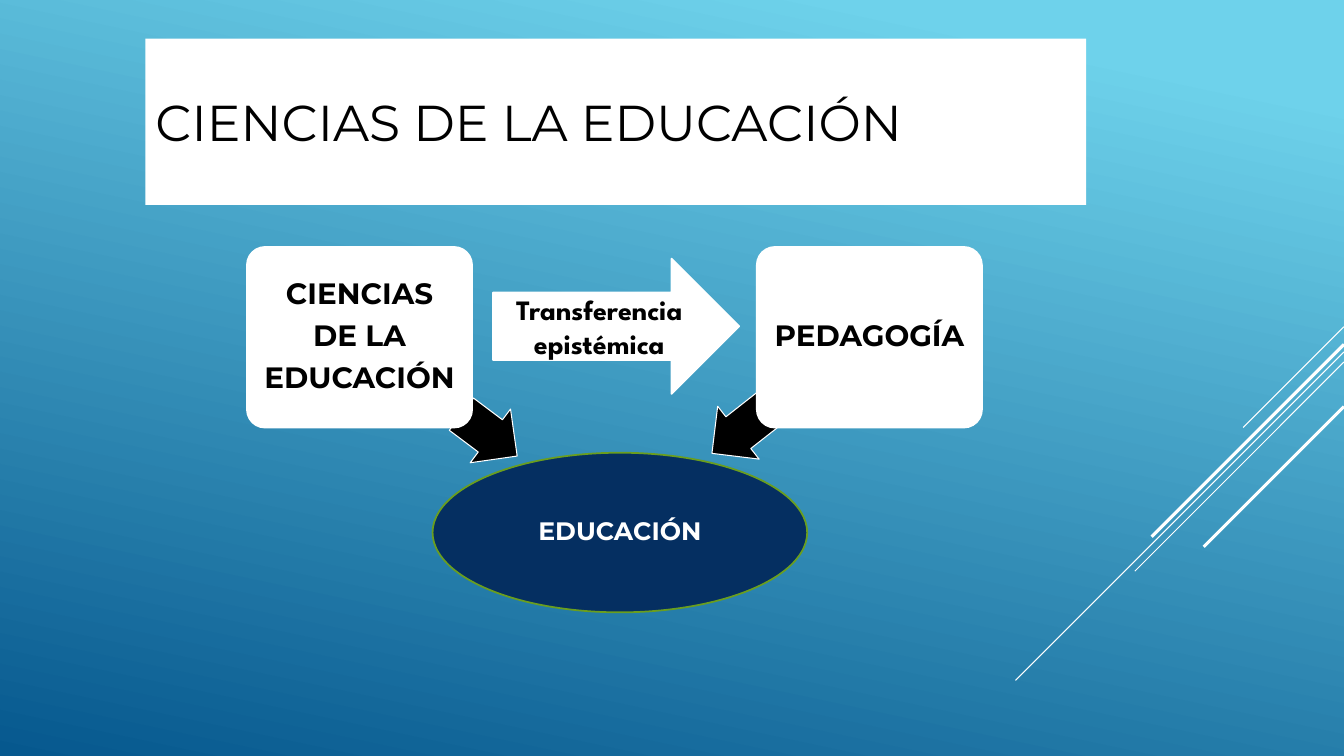
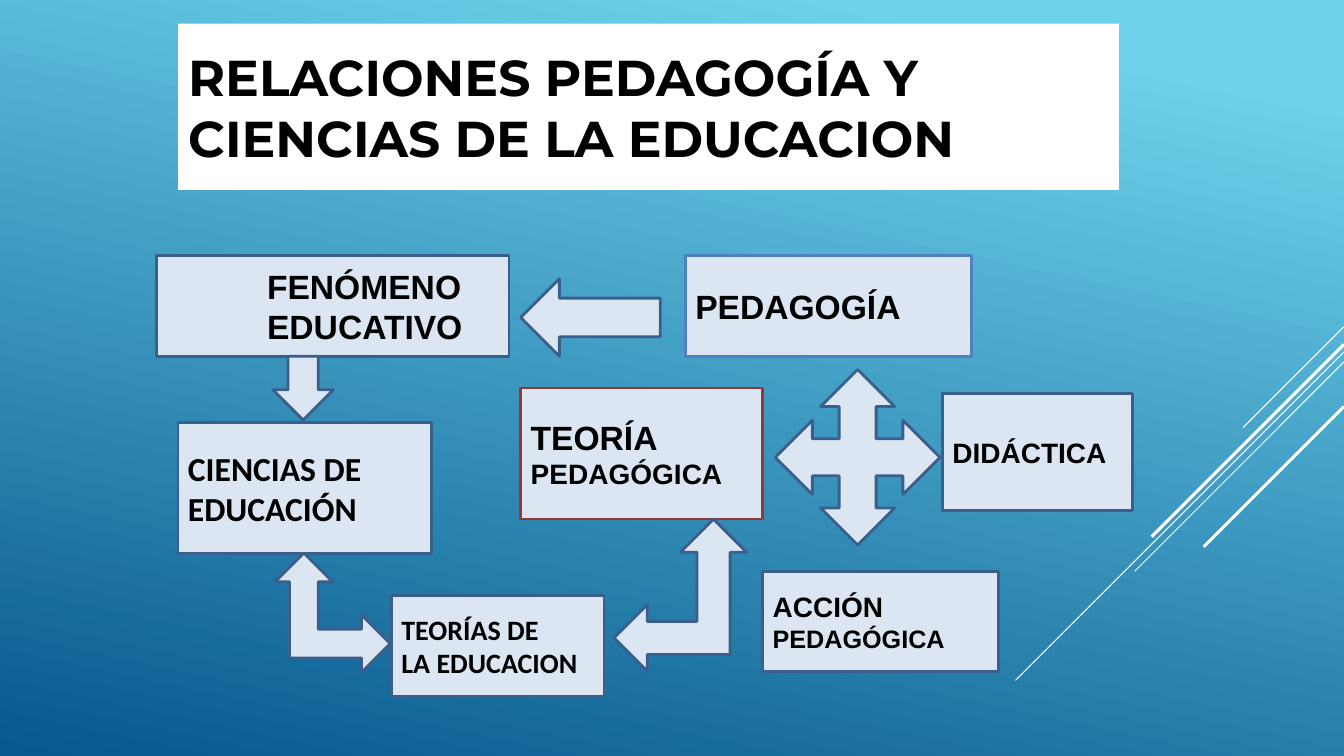
"""Build two slides on how pedagogy relates to the sciences of education."""
import lxml.etree
import pptx
import pptx.dml.color
import pptx.enum.shapes
import pptx.enum.text
import pptx.oxml.ns
import pptx.util

RGBColor = pptx.dml.color.RGBColor
SHAPE = pptx.enum.shapes.MSO_SHAPE
ALIGN = pptx.enum.text.PP_ALIGN

SKY = RGBColor(0x6E, 0xD2, 0xEB)
OCEAN = RGBColor(0x06, 0x58, 0x8E)
WHITE = RGBColor(0xFF, 0xFF, 0xFF)
BLACK = RGBColor(0x00, 0x00, 0x00)
NAVY = RGBColor(0x05, 0x2F, 0x61)
GREEN = RGBColor(0x6A, 0x9E, 0x1F)
PALE = RGBColor(0xDC, 0xE6, 0xF2)
STEEL = RGBColor(0x3A, 0x5F, 0x8C)
BLUE = RGBColor(0x4F, 0x81, 0xBD)
RED = RGBColor(0x95, 0x37, 0x35)

COLUMNS, ROWS = 160, 90
CELL = pptx.util.Inches(1 / 12)
TITLE_SIZE = (112, 19.8)
STREAKS = [(38.9, 12, 0.75), (41.9, 39.1, 0.75), (43.1, 24.9, 0.75),
           (41, 22.9, 2.25), (48.4, 16.7, 2.25)]


def cells(*counts):
    return [pptx.util.Emu(round(count * CELL)) for count in counts]


class Deck:
    """Hold the shared style and the current slide."""

    def __init__(self):
        self.presentation = pptx.Presentation()
        self.presentation.slide_width, self.presentation.slide_height = cells(COLUMNS, ROWS)
        backdrop = self.presentation.slide_master.background.fill
        backdrop.gradient()
        backdrop.gradient_angle = 258
        for stop, color, position in zip(backdrop.gradient_stops, (SKY, OCEAN), (0.1, 1)):
            stop.color.rgb = color
            stop.position = position
        self.slide = None

    def start_slide(self, title, left, top, bold=False):
        self.slide = self.presentation.slides.add_slide(self.presentation.slide_layouts[5])
        for row, reach, weight in STREAKS:
            self.streak(row, reach, weight)
        heading = self.slide.shapes.title
        heading.left, heading.top, heading.width, heading.height = cells(left, top, *TITLE_SIZE)
        heading.fill.solid()
        heading.fill.fore_color.rgb = WHITE
        heading.text_frame.auto_size = pptx.enum.text.MSO_AUTO_SIZE.NONE
        self.label(heading, [(title, 36)], "Montserrat", bold=bold)

    def streak(self, row, reach, weight):
        streak = self.slide.shapes.add_connector(
            pptx.enum.shapes.MSO_CONNECTOR.STRAIGHT,
            *cells(COLUMNS, row, COLUMNS - reach, row + reach))
        streak.line.color.rgb = WHITE
        streak.line.width = pptx.util.Pt(weight)
        lxml.etree.SubElement(streak.element.spPr, pptx.oxml.ns.qn("a:effectLst"))

    def figure(self, kind, place, fill=PALE, outline=STEEL, weight=2, rotation=0, adjustments=()):
        figure = self.slide.shapes.add_shape(kind, *cells(*place))
        figure.shadow.inherit = False
        figure.fill.solid()
        figure.fill.fore_color.rgb = fill
        figure.line.color.rgb = outline
        figure.line.width = pptx.util.Pt(weight)
        figure.rotation = rotation
        for index, value in enumerate(adjustments):
            figure.adjustments[index] = value
        return figure

    def label(self, holder, lines, font, color=BLACK, align=ALIGN.LEFT, bold=True,
              spacing=None, after=None, margin=None, indent=None):
        frame = holder.text_frame
        frame.word_wrap = True
        frame.vertical_anchor = pptx.enum.text.MSO_ANCHOR.MIDDLE
        if margin is not None:
            (frame.margin_left, frame.margin_top,
             frame.margin_right, frame.margin_bottom) = cells(*[margin] * 4)
        if indent is not None:
            frame.margin_left = cells(indent)[0]
        for index, (text, size) in enumerate(lines):
            paragraph = frame.add_paragraph() if index else frame.paragraphs[0]
            paragraph.text = text
            paragraph.alignment = align
            paragraph.line_spacing = spacing
            paragraph.space_after = after
            paragraph.font.name = font
            paragraph.font.size = pptx.util.Pt(size)
            paragraph.font.bold = bold
            paragraph.font.color.rgb = color

    def node(self, kind, place, words, size, fill, outline, color, adjustments=()):
        node = self.figure(kind, place, fill, outline, 1.25, adjustments=adjustments)
        self.label(node, [(word, size) for word in words], "Montserrat", color, ALIGN.CENTER,
                   spacing=0.9, after=pptx.util.Pt(0.35 * size), margin=0.4)

    def concept(self, place, lines, font="Arial", outline=STEEL, indent=None):
        self.label(self.figure(SHAPE.RECTANGLE, place, outline=outline), lines, font, indent=indent)


def build_sciences(deck):
    deck.start_slide("CIENCIAS DE LA EDUCACIÓN", 17.3, 4.6)
    deck.node(SHAPE.OVAL, (51.5, 53.9, 44.6, 19), ["EDUCACIÓN"], 18, NAVY, GREEN, WHITE)
    for place, rotation in [((54.1, 47.8, 8.3, 8), 216.9), ((83.8, 47.2, 9, 8), 321.9)]:
        deck.figure(SHAPE.LEFT_ARROW, place, BLACK, WHITE, 0.75, rotation, (0.6, 0.5))
    for left, words in [(29.4, ["CIENCIAS", "DE LA", "EDUCACIÓN"]), (90.1, ["PEDAGOGÍA"])]:
        deck.node(SHAPE.ROUNDED_RECTANGLE, (left, 29.4, 26.8, 21.5), words, 21,
                  WHITE, WHITE, BLACK, (0.1,))
    transfer = deck.figure(SHAPE.RIGHT_ARROW, (58.7, 30.8, 29.3, 16.1), WHITE, WHITE, 1.25)
    deck.label(transfer, [("Transferencia", 20), ("epistémica", 20)], "League Spartan",
               align=ALIGN.CENTER)


def build_relations(deck):
    deck.start_slide("RELACIONES PEDAGOGÍA Y CIENCIAS DE LA EDUCACION", 21.2, 2.8, bold=True)
    deck.concept((18.6, 30.4, 42, 12), [("FENÓMENO", 24), ("EDUCATIVO", 24)], indent=13.2)
    deck.concept((81.6, 30.4, 34.1, 12), [("PEDAGOGÍA", 24)], outline=BLUE)
    deck.concept((62, 46.2, 28.8, 15.6), [("TEORÍA", 24), ("PEDAGÓGICA", 20)], outline=RED)
    deck.concept((21.2, 50.3, 30.2, 15.6), [("CIENCIAS DE", 24), ("EDUCACIÓN", 24)], "Calibri")
    deck.concept((46.6, 70.9, 25.3, 12), [("TEORÍAS DE", 20), ("LA EDUCACION", 20)], "Calibri")
    deck.concept((90.8, 68, 28.1, 12), [("ACCIÓN", 20), ("PEDAGÓGICA", 18)])
    deck.concept((112.2, 46.8, 22.6, 14), [("DIDÁCTICA", 20)])
    for kind, place, rotation in [
        (SHAPE.LEFT_ARROW, (62, 33.2, 16.6, 9.2), 0),
        (SHAPE.DOWN_ARROW, (32.5, 42.4, 7.2, 7.6), 0),
        (SHAPE.LEFT_UP_ARROW, (32.5, 66.1, 14.2, 13.7), 90),
        (SHAPE.LEFT_UP_ARROW, (73.1, 61.8, 15.8, 18.1), 0),
        (SHAPE.QUAD_ARROW, (92.3, 44, 19.6, 20.9), 0),
    ]:
        deck.figure(kind, place, rotation=rotation)


def main():
    deck = Deck()
    build_sciences(deck)
    build_relations(deck)
    deck.presentation.save("out.pptx")


if __name__ == "__main__":
    main()
